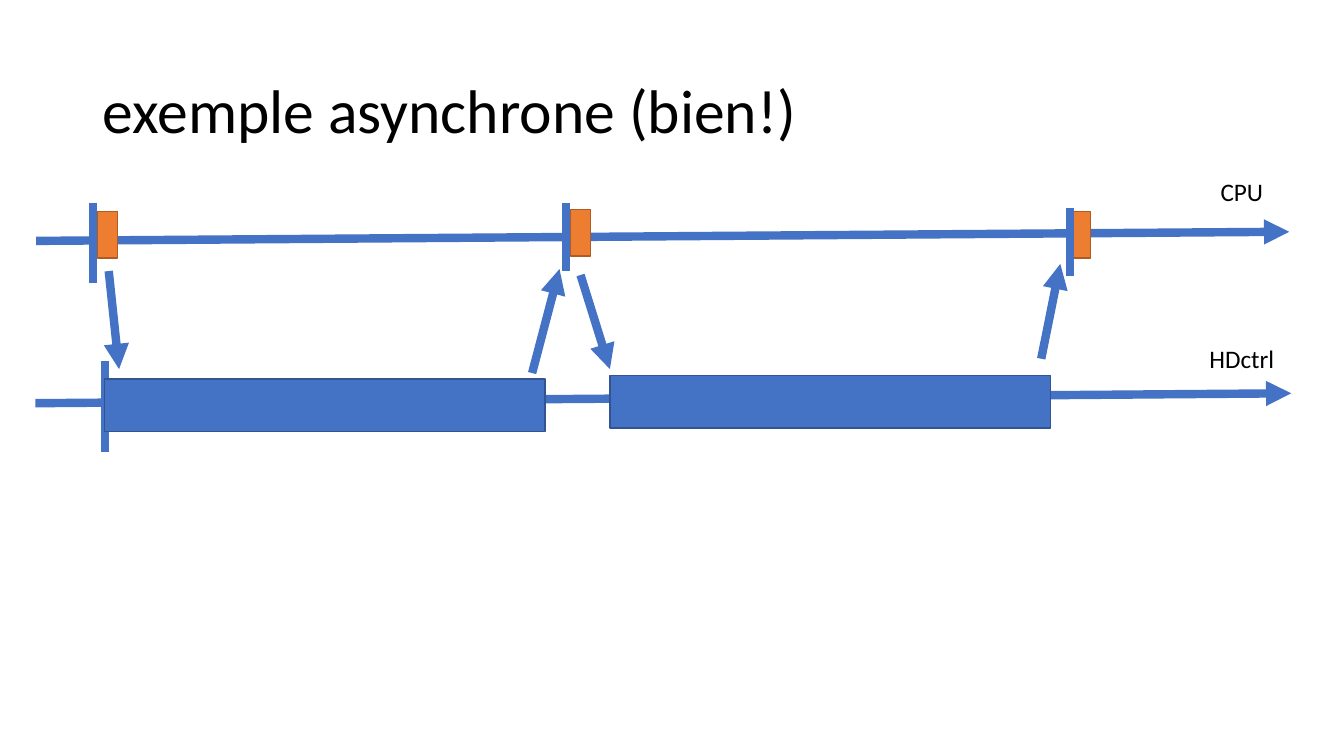
from lxml import etree
from pptx import Presentation
from pptx.dml.color import RGBColor
from pptx.enum.shapes import MSO_CONNECTOR, MSO_SHAPE
from pptx.enum.text import MSO_ANCHOR
from pptx.oxml.ns import qn
from pptx.util import Cm, Pt

STRAIGHT = MSO_CONNECTOR.STRAIGHT
RECTANGLE = MSO_SHAPE.RECTANGLE
MIDDLE = MSO_ANCHOR.MIDDLE
TOP = MSO_ANCHOR.TOP

COLORS = {
    "text": "000000",
    "blue": "4472C4",
    "blue_edge": "325491",
    "orange": "ED7D31",
    "orange_edge": "AF5C24",
}


class TimelineSlide:
    font_name = "Calibri"
    line_width = Pt(6)

    def __init__(self, presentation):
        self.slide = presentation.slides.add_slide(presentation.slide_layouts[6])

    def color(self, name):
        return RGBColor.from_string(COLORS[name])

    def text(self, content, left, top, width, height, size, anchor=TOP, wrap=False, spacing=1.0):
        box = self.slide.shapes.add_textbox(Cm(left), Cm(top), Cm(width), Cm(height))
        frame = box.text_frame
        frame.word_wrap = wrap
        frame.vertical_anchor = anchor
        paragraph = frame.paragraphs[0]
        paragraph.text = content
        paragraph.line_spacing = spacing
        paragraph.font.name = self.font_name
        paragraph.font.size = Pt(size)
        paragraph.font.color.rgb = self.color("text")

    def line(self, x1, y1, x2, y2):
        connector = self.slide.shapes.add_connector(STRAIGHT, Cm(x1), Cm(y1), Cm(x2), Cm(y2))
        connector.line.color.rgb = self.color("blue")
        connector.line.width = self.line_width
        etree.SubElement(connector._element.spPr, qn("a:effectLst"))
        return connector

    def arrow(self, x1, y1, x2, y2):
        connector = self.line(x1, y1, x2, y2)
        etree.SubElement(connector.line._get_or_add_ln(), qn("a:tailEnd"), type="triangle")

    def tick(self, x, top, bottom):
        self.line(x, top, x, bottom)

    def block(self, left, top, width, height, color):
        shape = self.slide.shapes.add_shape(RECTANGLE, Cm(left), Cm(top), Cm(width), Cm(height))
        shape.shadow.inherit = False
        shape.fill.solid()
        shape.fill.fore_color.rgb = self.color(color)
        shape.line.color.rgb = self.color(color + "_edge")
        shape.line.width = Pt(1)

    def cpu_task(self, left, top):
        self.block(left, top, 0.51, 1.17, "orange")

    def disk_task(self, left, top):
        self.block(left, top, 11.1, 1.32, "blue")


def main():
    presentation = Presentation()
    presentation.slide_width = Cm(33.87)
    presentation.slide_height = Cm(19.05)
    timeline = TimelineSlide(presentation)

    timeline.text("exemple asynchrone (bien!)", 2.34, 1.02, 29.21, 3.68, 44, MIDDLE, True, 0.9)

    timeline.arrow(0.91, 6.07, 32.49, 5.84)
    timeline.arrow(0.89, 10.16, 32.54, 9.91)
    timeline.text("CPU", 30.51, 4.32, 1.6, 1.02, 18)
    timeline.text("HDctrl", 30.23, 8.53, 2.16, 1.02, 18)

    timeline.tick(2.34, 5.11, 7.14)
    timeline.tick(2.64, 9.09, 11.38)
    timeline.tick(14.27, 5.11, 6.83)

    for left, top in ((2.46, 5.33), (14.38, 5.28), (26.97, 5.33)):
        timeline.cpu_task(left, top)
    timeline.tick(26.97, 5.23, 6.96)

    timeline.disk_task(2.64, 9.55)
    for signal in (
        (2.74, 6.83, 3.0, 9.3),
        (13.41, 9.4, 14.1, 6.78),
        (14.63, 6.93, 15.37, 9.3),
        (26.24, 9.04, 26.72, 6.65),
    ):
        timeline.arrow(*signal)
    timeline.disk_task(15.37, 9.47)

    presentation.save("out.pptx")


if __name__ == "__main__":
    main()
